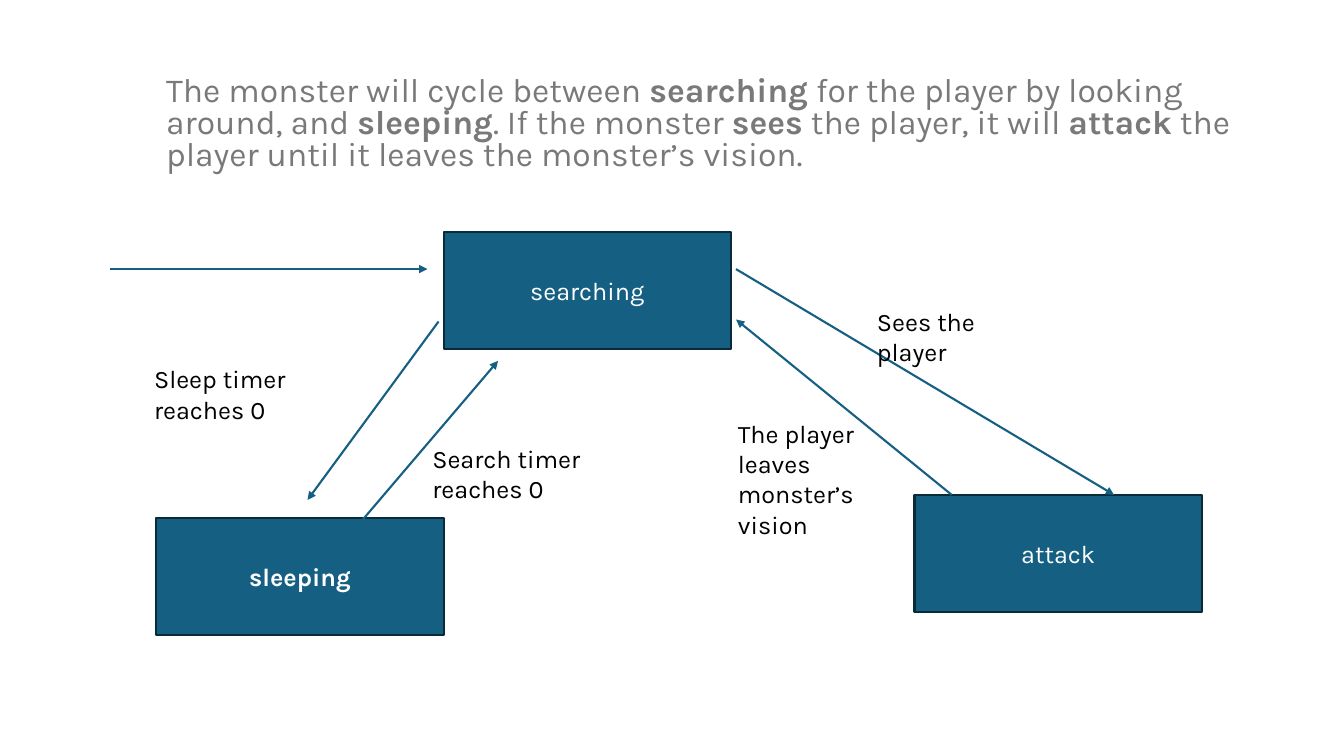
from lxml import etree
from pptx import Presentation
from pptx.dml.color import RGBColor
from pptx.enum import shapes, text
from pptx.oxml import ns
from pptx.util import Inches, Pt

FONT = "Karla"
BLUE = RGBColor(0x15, 0x60, 0x82)
NAVY = RGBColor(0x09, 0x2A, 0x39)
GREY = RGBColor(0x79, 0x79, 0x79)
BLACK = RGBColor(0, 0, 0)
WHITE = RGBColor(0xFF, 0xFF, 0xFF)

STATE_SIZE = (2.85, 1.16)
STATES = [  # name, left, top, bold
    ("searching", 4.4, 2.3, False),
    ("attack", 9.07, 4.91, False),
    ("sleeping", 1.55, 5.14, True),
]
TRANSITIONS = [  # start, end
    ((1.09, 2.67), (4.24, 2.67)),
    ((7.3, 2.67), (11.05, 4.91)),
    ((9.44, 4.91), (7.3, 3.17)),
    ((3.33, 5.47), (4.94, 3.58)),
    ((4.35, 3.19), (3.05, 4.96)),
]
LABELS = [  # wording, box
    ("Sees the player", (8.6, 2.99, 1.86, 0.4)),
    ("The player leaves monster’s vision", (7.22, 4.1, 1.66, 1.31)),
    ("Sleep timer reaches 0", (1.43, 3.56, 1.86, 0.71)),
    ("Search timer reaches 0", (4.19, 4.35, 1.86, 0.71)),
]
SUMMARY = [  # wording, bold
    ("The monster will cycle between ", False),
    ("searching", True),
    (" for the player by looking around, and ", False),
    ("sleeping", True),
    (". If the monster ", False),
    ("sees", True),
    (" the player, it will ", False),
    ("attack", True),
    (" the player until it leaves the monster’s vision.", False),
]


def add_span(para, wording, size, color, bold=False):
    span = para.add_run()
    span.text = wording
    span.font.color.rgb = color
    for name, value in {"name": FONT, "size": Pt(size), "bold": bold}.items():
        setattr(span.font, name, value)


def add_text_box(page, box):
    """Add a wrapping text box and return its frame."""
    frame = page.shapes.add_textbox(*map(Inches, box)).text_frame
    frame.word_wrap = True
    return frame


def add_summary(page, box):
    para = add_text_box(page, box).paragraphs[0]
    para.line_spacing = 0.8
    para.space_before = Pt(10)
    for wording, bold in SUMMARY:
        add_span(para, wording, 24, GREY, bold)


def add_state(page, name, left, top, bold):
    state = page.shapes.add_shape(
        shapes.MSO_SHAPE.RECTANGLE, *map(Inches, (left, top, *STATE_SIZE)))
    state.shadow.inherit = False
    state.fill.solid()
    state.fill.fore_color.rgb = BLUE
    state.line.color.rgb = NAVY
    state.line.width = Pt(1.5)
    state.text_frame.vertical_anchor = text.MSO_ANCHOR.MIDDLE
    para = state.text_frame.paragraphs[0]
    para.alignment = text.PP_ALIGN.CENTER
    add_span(para, name, 18, WHITE, bold)


def add_transition(page, start, end):
    arrow = page.shapes.add_connector(
        shapes.MSO_CONNECTOR.STRAIGHT, *map(Inches, (*start, *end)))
    arrow.line.color.rgb = BLUE
    arrow.line.width = Pt(1.5)
    etree.SubElement(arrow.line._get_or_add_ln(), ns.qn("a:tailEnd"), type="triangle")
    etree.SubElement(arrow._element.spPr, ns.qn("a:effectLst"))


def add_label(page, wording, box):
    frame = add_text_box(page, box)
    frame.auto_size = text.MSO_AUTO_SIZE.SHAPE_TO_FIT_TEXT
    add_span(frame.paragraphs[0], wording, 18, BLACK)


def add_state_diagram(page):
    for state in STATES:
        add_state(page, *state)
    for transition in TRANSITIONS:
        add_transition(page, *transition)
    for label in LABELS:
        add_label(page, *label)


def main():
    deck = Presentation()
    deck.slide_width, deck.slide_height = Inches(13.33), Inches(7.5)
    page = deck.slides.add_slide(deck.slide_layouts[6])
    add_summary(page, (1.55, 0.71, 11.5, 1.16))
    add_state_diagram(page)
    deck.save("out.pptx")


if __name__ == "__main__":
    main()
